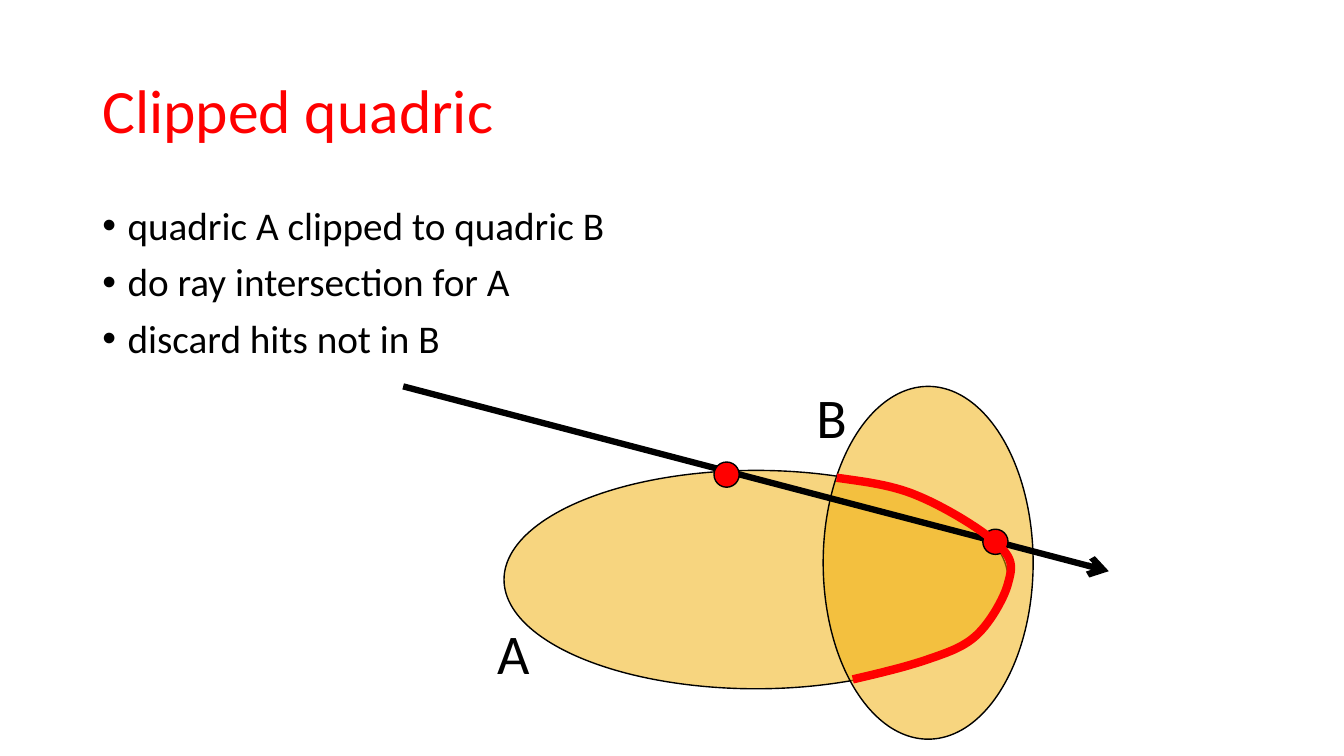
from lxml import etree
from pptx import Presentation
from pptx.dml.color import RGBColor
from pptx.enum.shapes import MSO_CONNECTOR as CONN, MSO_SHAPE as SHAPE
from pptx.enum.text import MSO_ANCHOR as ANCHOR, MSO_AUTO_SIZE as AUTO
from pptx.oxml.ns import qn
from pptx.util import Inches, Pt

COLS, ROWS = 160, 90
BEZIER_STEPS = 16


def rgb(hex_color):
    return RGBColor.from_string(hex_color)


def add_text(p, text, font="Calibri", size=28, color="000000"):
    r = p.add_run()
    r.text = text
    r.font.name = font
    r.font.size = Pt(size)
    r.font.color.rgb = rgb(color)
    return r


def bezier_point(points, t):
    a, b, c, d = points
    u = 1 - t
    return tuple(
        u**3 * a[i] + 3 * u**2 * t * b[i] + 3 * u * t**2 * c[i] + t**3 * d[i]
        for i in (0, 1)
    )


class Drawing:
    ink = "000000"
    accent = "FF0000"
    quadric = "F0AD00"

    def __init__(self, prs):
        self.slide = prs.slides.add_slide(prs.slide_layouts[6])
        self.shapes = self.slide.shapes
        self.cell_w = prs.slide_width / COLS
        self.cell_h = prs.slide_height / ROWS

    def at(self, col, row):
        return round(col * self.cell_w), round(row * self.cell_h)

    def outline(self, line, color, width):
        line.color.rgb = rgb(color)
        line.width = Pt(width)

    def text(self, col, row, cols, rows, lines, bullets=False, wrap=True,
             anchor=ANCHOR.TOP, spacing=None, **fmt):
        sp = self.shapes.add_textbox(*self.at(col, row), *self.at(cols, rows))
        tf = sp.text_frame
        tf.word_wrap = wrap
        tf.auto_size = AUTO.NONE if wrap else AUTO.SHAPE_TO_FIT_TEXT
        tf.vertical_anchor = anchor
        for i, line in enumerate(lines):
            p = tf.add_paragraph() if i else tf.paragraphs[0]
            if bullets:
                self.bullet(p)
            if spacing:
                p.line_spacing = spacing
            if i:
                p.space_before = Pt(10)
            add_text(p, line, **fmt)

    def bullet(self, p):
        pPr = p._p.get_or_add_pPr()
        pPr.set("marL", str(Inches(0.25)))
        pPr.set("indent", str(-Inches(0.25)))
        etree.SubElement(pPr, qn("a:buFont"), typeface="Arial")
        etree.SubElement(pPr, qn("a:buChar"), char="•")

    def ellipse(self, col, row, cols, rows, fill, opacity=100):
        sp = self.shapes.add_shape(
            SHAPE.OVAL, *self.at(col, row), *self.at(cols, rows))
        sp.shadow.inherit = False
        sp.fill.solid()
        sp.fill.fore_color.rgb = rgb(fill)
        if opacity < 100:
            clr = sp._element.spPr.find(qn("a:solidFill"))[0]
            etree.SubElement(clr, qn("a:alpha"), val=str(opacity * 1000))
        self.outline(sp.line, self.ink, 1)

    def arrow(self, start, end, width):
        cx = self.shapes.add_connector(
            CONN.STRAIGHT, *self.at(*start), *self.at(*end))
        self.outline(cx.line, self.ink, width)
        etree.SubElement(cx.line._get_or_add_ln(), qn("a:tailEnd"), type="arrow")
        etree.SubElement(cx._element.spPr, qn("a:effectLst"))

    def curve(self, start, segments, width):
        points, pen = [], start
        for segment in segments:
            points += [
                self.at(*bezier_point((pen, *segment), k / BEZIER_STEPS))
                for k in range(1, BEZIER_STEPS + 1)
            ]
            pen = segment[-1]
        builder = self.shapes.build_freeform(*self.at(*start))
        builder.add_line_segments(points, close=False)
        sp = builder.convert_to_shape()
        sp.shadow.inherit = False
        sp.fill.background()
        self.outline(sp.line, self.accent, width)


def main():
    prs = Presentation()
    prs.slide_width, prs.slide_height = Inches(13.33), Inches(7.5)
    d = Drawing(prs)

    d.text(11, 4.8, 138, 17.4, ["Clipped quadric"], anchor=ANCHOR.MIDDLE,
           spacing=0.9, size=44, color=d.accent)
    d.text(11, 24, 138, 57.1,
           ["quadric A clipped to quadric B",
            "do ray intersection for A",
            "discard hits not in B"],
           bullets=True, spacing=0.9)

    for box in ((60, 56, 60, 26), (98, 46, 25, 42)):
        d.ellipse(*box, d.quadric, opacity=50)
    d.arrow((48, 46), (132, 68), 4.5)

    for label, col, row, cols in (("A", 58, 73, 6.4), ("B", 96, 45, 6.1)):
        d.text(col, row, cols, 9.3, [label], wrap=False, size=40)
    for col, row in ((85, 55), (117, 63)):
        d.ellipse(col, row, 3, 3, d.accent)

    clipped_edge = (
        ((102.96, 57.36), (106.32, 57.72), (109.56, 59.16)),
        ((112.68, 60.48), (117.24, 63.24), (119.04, 65.04)),
        ((120.72, 66.72), (120.48, 67.68), (120, 69.48)),
        ((119.52, 71.28), (117.84, 74.16), (116.28, 75.6)),
        ((114.6, 77.16), (112.56, 77.76), (110.16, 78.6)),
        ((107.64, 79.44), (104.64, 80.16), (101.52, 80.88)),
    )
    d.curve((99.6, 56.88), clipped_edge, 6)
    prs.save("out.pptx")


if __name__ == "__main__":
    main()
